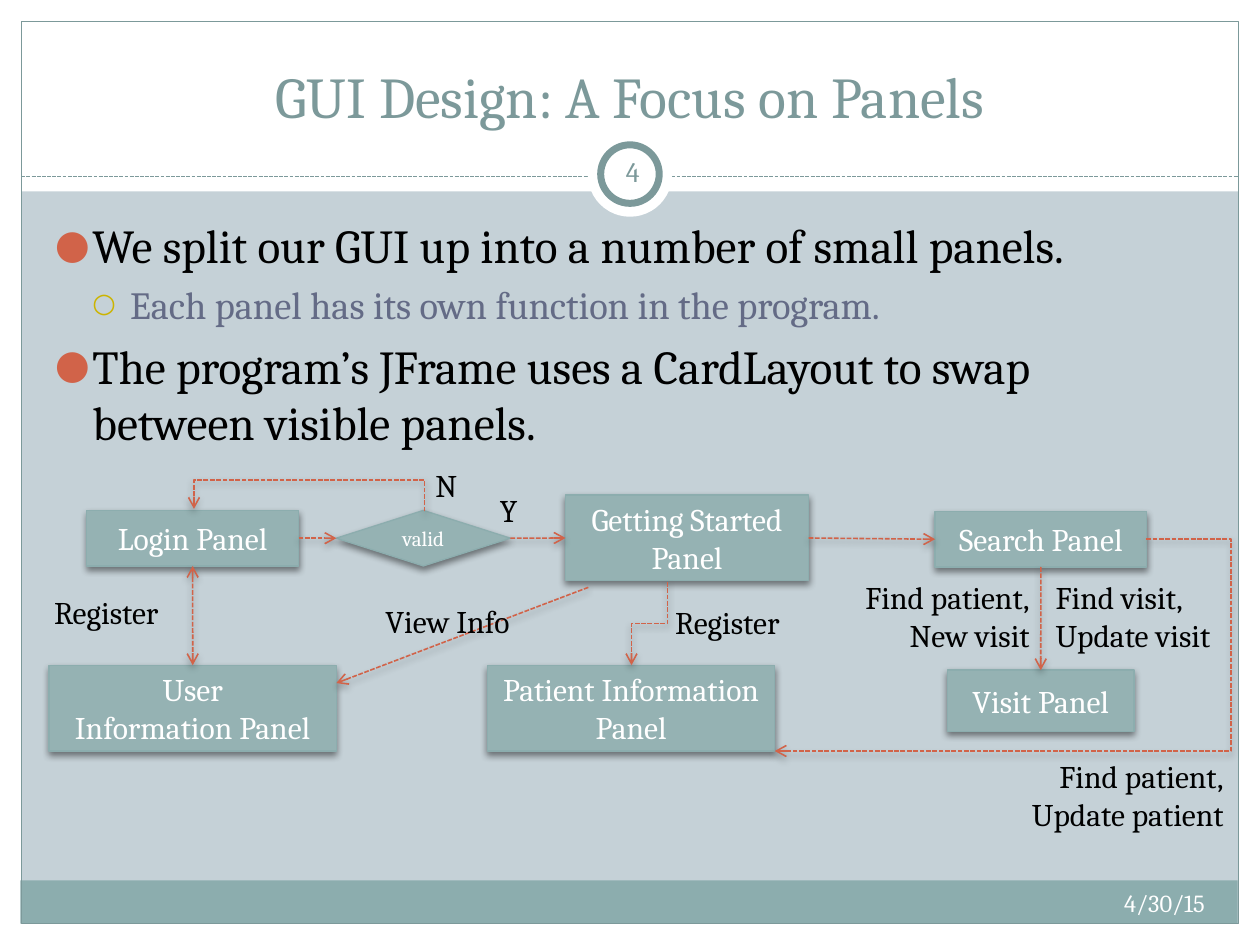
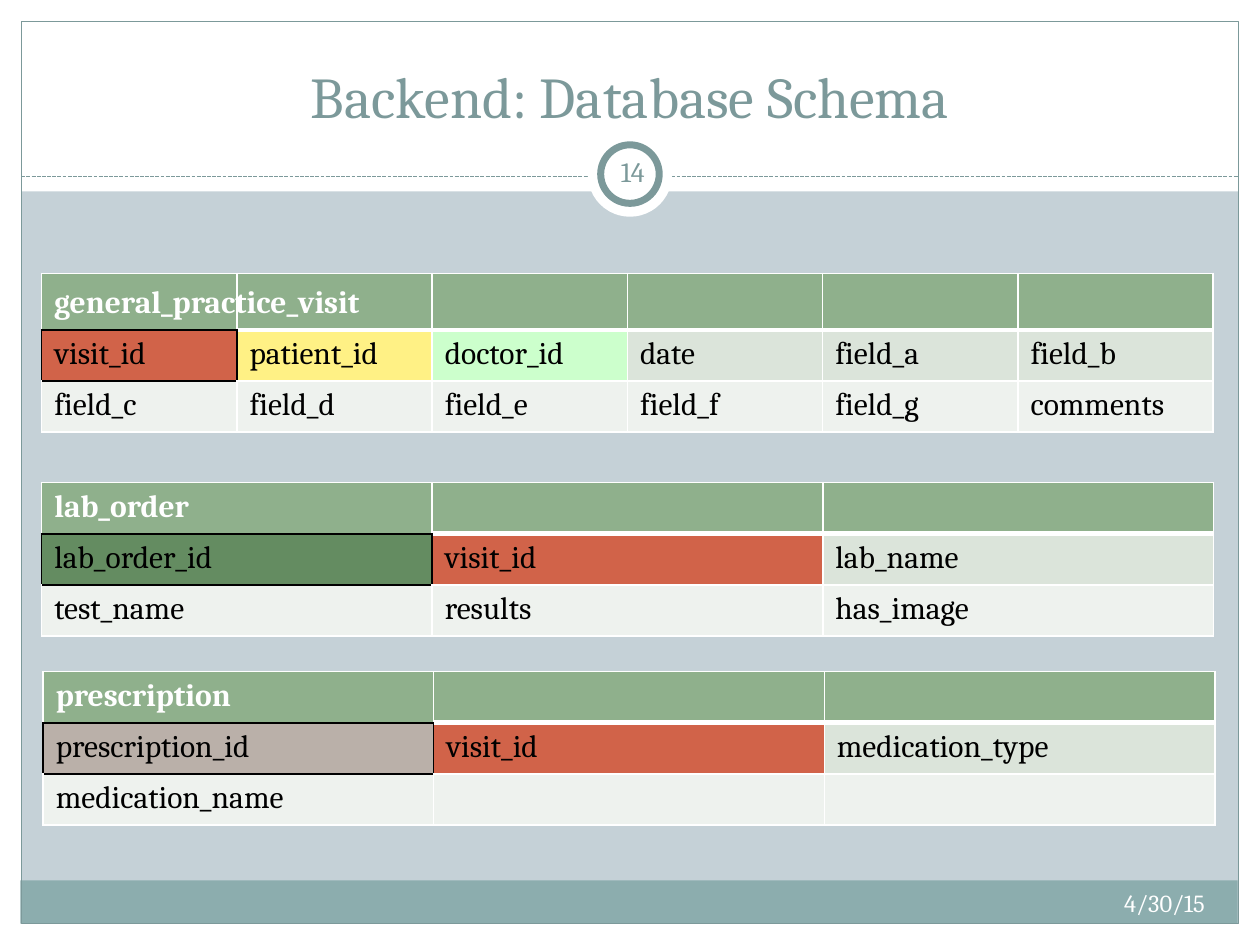
"""Build the panel-flow and database-schema slides."""
from pptx import Presentation
from pptx import util as u
from pptx.dml.color import RGBColor
from pptx.enum import dml, shapes, text
from pptx.oxml import ns, parse_xml

TEAL, FOOTER, BOX, GROUND = "7C999A", "8CADAE", "95B2B3", "C5D1D7"
WHITE, BLACK, ORANGE, GOLD, SLATE = "FFFFFF", "000000", "D16349", "CCB400", "646B86"
HEADER, BAND, PALE = "8FB08C", "DBE4DA", "EEF2EE"
YELLOW, MINT, GREEN, TAUPE = "FFF185", "CCFFCC", "648C61", "BAB0A9"
TOP, LEFT, BOTTOM, RIGHT = range(4)
ALIGN, ANCHOR = text.PP_ALIGN, text.MSO_ANCHOR
KIND = shapes.MSO_SHAPE
LINK = shapes.MSO_CONNECTOR


def rgb(value):
    return RGBColor.from_string(value)


def cm(*values):
    return [u.Cm(value) for value in values]


def element(tag, content="", **attributes):
    pairs = " ".join(f'{key}="{value}"' for key, value in attributes.items())
    return parse_xml(f'<a:{tag} {ns.nsdecls("a")} {pairs}>{content}</a:{tag}>')


class Deck:
    font = "Cambria"
    date = "4/30/15"

    def __init__(self):
        self.prs = Presentation()
        self.prs.slide_width, self.prs.slide_height = cm(25.4, 19.05)
        self.slide = None

    def new_slide(self, layout, title, number):
        self.slide = self.prs.slides.add_slide(self.prs.slide_layouts[layout])
        if len(self.prs.slides) == 1:
            self.frame()
        heading = self.place(self.slide.shapes.title, 0.85, 0.64, 23.7, 2.11)
        self.set_text(heading, title, 33, TEAL, ALIGN.CENTER, ANCHOR.BOTTOM)
        self.label(self.date, 16.08, 17.78, 8.46, 1.02, 14, WHITE, ALIGN.RIGHT, wrap=True)
        badge = self.label(number, 12.12, 2.84, 1.27, 1.22, 16, TEAL, ALIGN.CENTER,
                           ANCHOR.MIDDLE, wrap=True).text_frame
        badge.margin_left = badge.margin_right = u.Cm(0.13)
        badge.margin_top = badge.margin_bottom = u.Cm(0.13)

    def frame(self):
        master = self.prs.slide_master
        master.background.fill.solid()
        master.background.fill.fore_color.rgb = rgb(GROUND)
        rect, oval = KIND.RECTANGLE, KIND.OVAL
        parts = [self.shape(rect, *box, fill=WHITE) for box in (
            (0, 18.62, 25.4, 0.43), (0, 0, 25.4, 3.86),
            (0, 0, 0.43, 19.05), (24.97, 0, 0.43, 19.05))]
        parts += [
            self.shape(rect, 0.41, 17.75, 24.54, 0.87, fill=FOOTER),
            self.shape(rect, 0.43, 0.43, 24.54, 18.19, line=TEAL),
            self.line((0.43, 3.56), (24.97, 3.56), TEAL, 0.75),
            self.shape(oval, 11.85, 2.67, 1.7, 1.7, fill=WHITE),
            self.shape(oval, 12.11, 2.92, 1.18, 1.18, fill=WHITE, line=TEAL, weight=4)]
        for number, part in enumerate(parts, 100):
            part._element.xpath("./*/p:cNvPr")[0].set("id", str(number))
            master.shapes._spTree.append(part._element)

    def place(self, item, *box):
        item.left, item.top, item.width, item.height = cm(*box)
        return item

    def style(self, paragraph, size, color, bold=False):
        for font in (paragraph.font, *(run.font for run in paragraph.runs)):
            font.name, font.size, font.bold = self.font, u.Pt(size), bold
            font.color.rgb = rgb(color)

    def set_text(self, item, words, size, color, align=ALIGN.LEFT, anchor=ANCHOR.TOP, bold=False):
        frame = item.text_frame
        frame.text, frame.vertical_anchor = words, anchor
        frame.auto_size = text.MSO_AUTO_SIZE.NONE
        for paragraph in frame.paragraphs:
            paragraph.alignment = align
            self.style(paragraph, size, color, bold)

    def label(self, words, left, top, width, height=1.02, size=18, color=BLACK,
              align=ALIGN.LEFT, anchor=ANCHOR.TOP, bold=False, wrap=False):
        box = self.slide.shapes.add_textbox(*cm(left, top, width, height))
        self.set_text(box, words, size, color, align, anchor, bold)
        box.text_frame.word_wrap = wrap
        if not wrap:
            box.text_frame.auto_size = text.MSO_AUTO_SIZE.SHAPE_TO_FIT_TEXT
        return box

    def shape(self, kind, *box, fill=None, line=None, weight=0.75):
        item = self.slide.shapes.add_shape(kind, *cm(*box))
        item.shadow.inherit = False
        for part, color in ((item.fill, fill), (item.line.fill, line)):
            if color:
                part.solid()
                part.fore_color.rgb = rgb(color)
            else:
                part.background()
        if line:
            item.line.width = u.Pt(weight)
        return item

    def shadow(self, item, opacity):
        properties = item._element.spPr
        for old in properties.findall(ns.qn("a:effectLst")):
            properties.remove(old)
        effects = element("effectLst")
        if opacity:
            effects.append(element(
                "outerShdw", f'<a:srgbClr val="{BLACK}"><a:alpha val="{opacity * 1000}"/></a:srgbClr>',
                blurRad=u.Pt(4), dist=u.Pt(2), dir=5400000, rotWithShape=0))
        properties.append(effects)

    def panel(self, words, *box, kind=KIND.RECTANGLE, size=18):
        item = self.shape(kind, *box, fill=BOX, line=FOOTER)
        self.shadow(item, 45)
        self.set_text(item, words, size, WHITE, ALIGN.CENTER, ANCHOR.MIDDLE)
        return item

    def line(self, start, end, color=ORANGE, weight=0.9, kind=LINK.STRAIGHT, opacity=0):
        item = self.slide.shapes.add_connector(kind, *cm(*start, *end))
        item.line.color.rgb = rgb(color)
        item.line.width = u.Pt(weight)
        item.line.dash_style = dml.MSO_LINE.SQUARE_DOT
        self.shadow(item, opacity)
        return item

    def arrow(self, start, end, kind=LINK.STRAIGHT, both=False):
        item = self.line(start, end, kind=kind, opacity=35)
        for tag in ("headEnd", "tailEnd")[not both:]:
            item.line._get_or_add_ln().append(element(tag, type="arrow"))
        return item

    def link(self, source, source_side, target, target_side, both=False):
        item = self.arrow((0, 0), (1, 1), both=both)
        item.begin_connect(source, source_side)
        item.end_connect(target, target_side)

    def elbow(self, start, end, bend, vertical=False):
        (x1, y1), (x2, y2) = start, end
        first, last = (y1, y2) if vertical else (x1, x2)
        turn = 0
        if vertical:
            half_w, half_h = abs(y2 - y1) / 2, abs(x2 - x1) / 2
            mid_x, mid_y = (x1 + x2) / 2, (y1 + y2) / 2
            turn, side = (90, 1) if y2 > y1 else (270, -1)
            start = mid_x - half_w, mid_y - side * half_h
            end = mid_x + half_w, mid_y + side * half_h
        item = self.arrow(start, end, LINK.ELBOW)
        item._element.spPr.xfrm.set("rot", str(turn * 60000))
        ratio = round((bend - first) / (last - first) * 100000)
        guides = item._element.xpath("./p:spPr/a:prstGeom/a:avLst")[0]
        guides.append(element("gd", name="adj1", fmla=f"val {ratio}"))

    def bullets(self, items, *box):
        body = self.place(self.slide.placeholders[1], *box)
        frame = body.text_frame
        frame.text = "\n".join(words for _, words in items)
        frame.auto_size = text.MSO_AUTO_SIZE.NONE
        looks = ((27, BLACK, "●", ORANGE, 85), (22, SLATE, "○", GOLD, 70))
        for paragraph, (level, _) in zip(frame.paragraphs, items):
            size, color, mark, mark_color, percent = looks[level]
            paragraph.level = level
            properties = paragraph._p.get_or_add_pPr()
            properties.set("marL", str(u.Cm(0.76 * (level + 1))))
            properties.set("indent", str(u.Cm(-0.76)))
            properties.append(element("buClr", f'<a:srgbClr val="{mark_color}"/>'))
            properties.append(element("buSzPct", val=percent * 1000))
            properties.append(element("buFont", typeface=self.font))
            properties.append(element("buChar", char=mark))
            self.style(paragraph, size, color)

    def schema(self, rows, left, top, key_fills, heights=(1.03, 1.03, 1.03), width=23.62):
        columns = len(rows[1])
        table = self.slide.shapes.add_table(
            len(rows), columns, *cm(left, top, width, sum(heights))).table
        for column in table.columns:
            column.width = u.Cm(width / columns)
        for row, height in zip(table.rows, heights):
            row.height = u.Cm(height)
        key_edges = {(0, 0): "B", (1, 0): "LRTB", (1, 1): "L", (2, 0): "T"}
        for r, words in enumerate(rows):
            fills = [(HEADER, BAND, PALE)[r]] * columns
            if r == 1:
                fills[:len(key_fills)] = key_fills
            for c, fill in enumerate(fills):
                cell = table.cell(r, c)
                self.borders(cell, key_edges.get((r, c), ""), 1 if r else 3)
                cell.fill.solid()
                cell.fill.fore_color.rgb = rgb(fill)
                cell.text = words[c] if c < len(words) else ""
                self.style(cell.text_frame.paragraphs[0], 18, BLACK if r else WHITE, r == 0)

    def borders(self, cell, key_edges, bottom):
        for side in "LRTB":
            is_key = side in key_edges
            weight = bottom if side == "B" and not is_key else 1
            color = BLACK if is_key else WHITE
            cell._tc.get_or_add_tcPr().append(element(
                f"ln{side}", f'<a:solidFill><a:srgbClr val="{color}"/></a:solidFill>',
                w=u.Pt(weight)))


def panel_slide(deck):
    deck.new_slide(1, "GUI Design: A Focus on Panels", "4")
    deck.bullets([
        (0, "We split our GUI up into a number of small panels."),
        (1, "Each panel has its own function in the program."),
        (0, "The program’s JFrame uses a CardLayout to swap between visible panels."),
    ], 0.85, 4.24, 23.62, 5.2)

    login = deck.panel("Login Panel", 1.75, 10.29, 4.27, 1.12)
    user = deck.panel("User\nInformation Panel", 0.99, 13.41, 5.79, 1.73)
    valid = deck.panel("valid", 6.78, 10.29, 3.51, 1.12, kind=KIND.FLOWCHART_DECISION, size=12)
    started = deck.panel("Getting Started\nPanel", 11.4, 9.98, 4.9, 1.73)
    patient = deck.panel("Patient Information Panel", 9.83, 13.41, 5.79, 1.73)
    search = deck.panel("Search Panel", 18.85, 10.31, 4.27, 1.12)
    visit = deck.panel("Visit Panel", 19.1, 13.51, 3.76, 1.24)

    deck.link(login, BOTTOM, user, TOP, both=True)
    deck.link(login, RIGHT, valid, LEFT)
    deck.link(valid, RIGHT, started, LEFT)
    deck.link(started, RIGHT, search, LEFT)
    deck.link(search, BOTTOM, visit, TOP)
    deck.arrow((11.86, 11.84), (6.78, 13.77))
    deck.elbow((8.56, 10.31), (3.91, 10.26), 9.68, vertical=True)
    deck.elbow((13.46, 11.73), (12.73, 13.41), 12.57, vertical=True)
    deck.elbow((23.11, 10.87), (patient.left.cm + patient.width.cm, 15.14), 24.82)

    deck.label("N", 8.53, 9.27, 1.02)
    deck.label("Y", 9.83, 9.78, 0.94)
    deck.label("Register", 0.84, 11.84, 2.87)
    deck.label("Register", 13.36, 12.04, 2.87)
    deck.label("View Info", 7.52, 12.01, 3.25)
    deck.label("Find visit,\nUpdate visit", 21.03, 11.53, 3.94, 1.8)
    deck.label("Find patient,\nNew visit", 16.84, 11.53, 4.17, 1.8, align=ALIGN.RIGHT)
    deck.label("Find patient,\nUpdate patient", 20.17, 15.14, 4.75, 1.8, align=ALIGN.RIGHT)


def schema_slide(deck):
    deck.new_slide(5, "Backend: Database Schema", "14")
    deck.schema([
        [],
        ["visit_id", "patient_id", "doctor_id", "date", "field_a", "field_b"],
        ["field_c", "field_d", "field_e", "field_f", "field_g", "comments"],
    ], 0.84, 5.51, [ORANGE, YELLOW, MINT], heights=(1.14, 1.03, 1.03))
    deck.label("general_practice_visit", 0.84, 5.56, 7.98, 1.8, color=WHITE, bold=True)
    deck.schema([
        ["lab_order"],
        ["lab_order_id", "visit_id", "lab_name"],
        ["test_name", "results", "has_image"],
    ], 0.84, 9.73, [GREEN, ORANGE])
    deck.schema([
        ["prescription"],
        ["prescription_id", "visit_id", "medication_type"],
        ["medication_name"],
    ], 0.87, 13.54, [TAUPE, ORANGE])


def main():
    deck = Deck()
    panel_slide(deck)
    schema_slide(deck)
    deck.prs.save("out.pptx")


if __name__ == "__main__":
    main()
